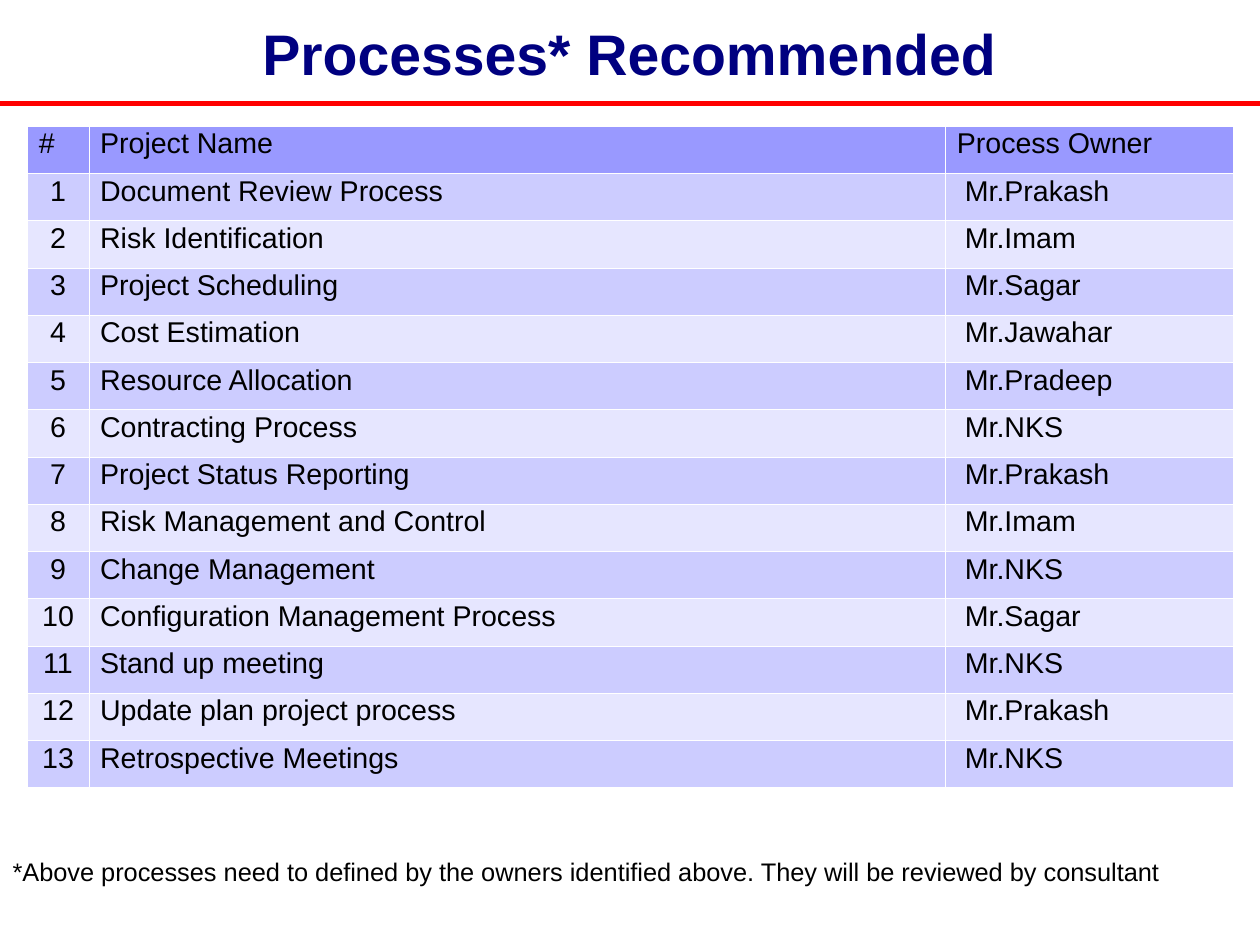
from dataclasses import dataclass

import pptx
import pptx.dml.color
import pptx.enum.shapes
import pptx.enum.text
import pptx.oxml
import pptx.oxml.ns
import pptx.util
from pptx.util import Cm

ALIGN = pptx.enum.text.PP_ALIGN
ANCHOR = pptx.enum.text.MSO_ANCHOR


@dataclass(frozen=True)
class Theme:
    font: str = "Arial"
    title: str = "000080"
    rule: str = "FF0000"
    text: str = "000000"
    header: str = "9999FF"
    bands: tuple = ("CCCCFF", "E6E6FF")
    border: str = "FFFFFF"
    title_size: int = 36
    table_size: int = 18
    note_size: int = 16
    rule_width: float = 2.83
    border_width: float = 0.06


THEME = Theme()

HEADINGS = ("#", "Project Name", "Process Owner")
PROCESSES = (
    ("Document Review Process", "Mr.Prakash"),
    ("Risk Identification", "Mr.Imam"),
    ("Project Scheduling", "Mr.Sagar"),
    ("Cost Estimation", "Mr.Jawahar"),
    ("Resource Allocation", "Mr.Pradeep"),
    ("Contracting Process", "Mr.NKS"),
    ("Project Status Reporting", "Mr.Prakash"),
    ("Risk Management and Control", "Mr.Imam"),
    ("Change Management", "Mr.NKS"),
    ("Configuration Management Process", "Mr.Sagar"),
    ("Stand up meeting", "Mr.NKS"),
    ("Update plan project process", "Mr.Prakash"),
    ("Retrospective Meetings", "Mr.NKS"),
)
COLUMN_WIDTHS = (Cm(1.36), Cm(19.04), Cm(6.4))
ROW_HEIGHT = Cm(1.05)
OWNER_INDENT = Cm(0.43)


def rgb(color):
    return pptx.dml.color.RGBColor.from_string(color)


def write(tf, text, *, size, color=THEME.text, bold=False,
          align=ALIGN.LEFT, spacing=0.93):
    p = tf.paragraphs[0]
    p.alignment = align
    p.line_spacing = spacing
    r = p.add_run()
    r.text = text
    r.font.name = THEME.font
    r.font.size = pptx.util.Pt(size)
    r.font.bold = bold
    r.font.color.rgb = rgb(color)


def add_text(s, left, top, width, height, text, *, anchor=ANCHOR.TOP,
             margin=Cm(0.25), **text_format):
    tf = s.shapes.add_textbox(left, top, width, height).text_frame
    tf.word_wrap = True
    tf.vertical_anchor = anchor
    tf.margin_left = tf.margin_right = margin
    write(tf, text, **text_format)


def add_rule(s, y, width):
    line = s.shapes.add_connector(
        pptx.enum.shapes.MSO_CONNECTOR.STRAIGHT, 0, y, width, y)
    line.line.color.rgb = rgb(THEME.rule)
    line.line.width = pptx.util.Pt(THEME.rule_width)
    sp_pr = line._element.spPr
    sp_pr.append(pptx.oxml.parse_xml(
        f'<a:effectLst {pptx.oxml.ns.nsdecls("a")}/>'))


def set_borders(cell):
    tc_pr = cell._tc.get_or_add_tcPr()
    width = pptx.util.Pt(THEME.border_width)
    for index, side in enumerate(("lnL", "lnR", "lnT", "lnB")):
        tc_pr.insert(index, pptx.oxml.parse_xml(
            f'<a:{side} {pptx.oxml.ns.nsdecls("a")} w="{width}"><a:solidFill>'
            f'<a:srgbClr val="{THEME.border}"/></a:solidFill></a:{side}>'))


def fill_cell(cell, text, fill, align=ALIGN.LEFT):
    cell.fill.solid()
    cell.fill.fore_color.rgb = rgb(fill)
    set_borders(cell)
    write(cell.text_frame, text, size=THEME.table_size, align=align,
          spacing=0.87)


def add_process_table(s, left, top):
    rows = len(PROCESSES) + 1
    table = s.shapes.add_table(rows, len(HEADINGS), left, top,
                               sum(COLUMN_WIDTHS), ROW_HEIGHT * rows).table
    for column, width in zip(table.columns, COLUMN_WIDTHS):
        column.width = width
    for row in table.rows:
        row.height = ROW_HEIGHT
    for column, heading in enumerate(HEADINGS):
        fill_cell(table.cell(0, column), heading, THEME.header)
    for number, (process, owner) in enumerate(PROCESSES, start=1):
        band = THEME.bands[(number - 1) % 2]
        fill_cell(table.cell(number, 0), str(number), band, ALIGN.CENTER)
        fill_cell(table.cell(number, 1), process, band)
        owner_cell = table.cell(number, 2)
        fill_cell(owner_cell, owner, band)
        owner_cell.margin_left = OWNER_INDENT


def main():
    prs = pptx.Presentation()
    prs.slide_width, prs.slide_height = Cm(28), Cm(21)
    s = prs.slides.add_slide(prs.slide_layouts[6])
    add_rule(s, Cm(2.3), prs.slide_width)
    add_text(s, Cm(1.4), Cm(0.3), Cm(25.17), Cm(1.9),
             "Processes* Recommended", anchor=ANCHOR.MIDDLE, margin=0,
             size=THEME.title_size, color=THEME.title, bold=True,
             align=ALIGN.CENTER)
    add_process_table(s, Cm(0.61), Cm(2.8))
    add_text(s, Cm(0.03), Cm(18.97), Cm(26.47), Cm(0.9),
             "*Above processes need to defined by the owners identified above. "
             "They will be reviewed by consultant", size=THEME.note_size)
    prs.save("out.pptx")


if __name__ == "__main__":
    main()
